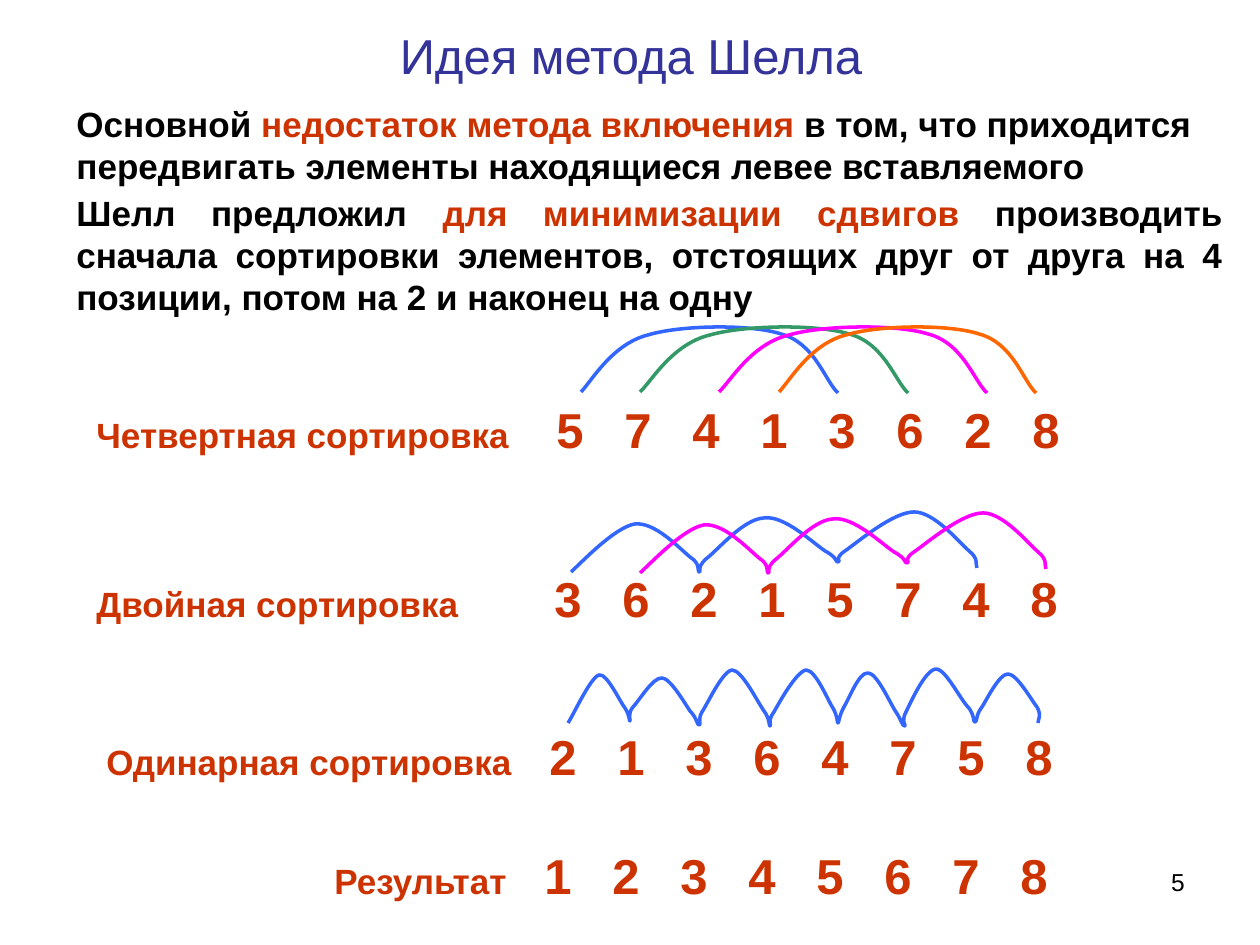
from dataclasses import dataclass
from lxml import etree
from pptx import Presentation
from pptx.dml.color import RGBColor
from pptx.enum.text import MSO_ANCHOR, PP_ALIGN
from pptx.oxml.ns import qn
from pptx.util import Emu, Pt

LEFT, CENTER = PP_ALIGN.LEFT, PP_ALIGN.CENTER
RIGHT, JUSTIFY = PP_ALIGN.RIGHT, PP_ALIGN.JUSTIFY
TOP, MIDDLE = MSO_ANCHOR.TOP, MSO_ANCHOR.MIDDLE
SCALE = 914400 / 126


@dataclass(frozen=True)
class Theme:
    font: str = "Arial"
    title: str = "333399"
    text: str = "000000"
    accent: str = "CC3300"
    blue: str = "3366FF"
    green: str = "339966"
    magenta: str = "FF00FF"
    orange: str = "FF6600"
    large: int = 28
    medium: int = 20
    small: int = 14
    line_width: int = 2
    leading: float = 1.2


def px(length):
    return Emu(round(length * SCALE))


def apply(target, values):
    for name, value in values.items():
        setattr(target, name, value)


class SlideBuilder:
    def __init__(self, slide, theme):
        self.slide = slide
        self.theme = theme

    def place(self, shape, left, top, width, height):
        apply(shape, {"left": px(left), "top": px(top), "width": px(width), "height": px(height)})

    def add_runs(self, paragraph, parts, alignment):
        paragraph.alignment = alignment
        for text, size, color, bold in parts:
            run = paragraph.add_run()
            run.text = text
            apply(run.font, {"name": self.theme.font, "size": Pt(size), "bold": bold})
            run.font.color.rgb = RGBColor.from_string(color)

    def title(self, text, *box):
        shape = self.slide.shapes.title
        self.place(shape, *box)
        apply(shape.text_frame, {"vertical_anchor": MIDDLE, "word_wrap": True})
        self.add_runs(shape.text_frame.paragraphs[0],
                      [(text, self.theme.large, self.theme.title, False)], CENTER)

    def text(self, parts, box, alignment=LEFT, tabs=()):
        shape = self.slide.shapes.add_textbox(*map(px, box))
        apply(shape.text_frame, {"vertical_anchor": TOP, "word_wrap": True})
        paragraph = shape.text_frame.paragraphs[0]
        if tabs:
            properties = paragraph._p.get_or_add_pPr()
            tab_list = etree.SubElement(properties, qn("a:tabLst"))
            for position in tabs:
                etree.SubElement(tab_list, qn("a:tab"), pos=str(px(position)), algn="l")
        largest = max(size for _, size, _, _ in parts)
        paragraph.line_spacing = Pt(largest * self.theme.leading)
        self.add_runs(paragraph, parts, alignment)

    def statement(self, parts, box, alignment=LEFT):
        theme = self.theme
        self.text([(text, theme.medium, color, True) for text, color in parts], box, alignment)

    def sorting_row(self, label, digits, box, first_digit):
        theme = self.theme
        start = first_digit - box[0] - 13
        tabs = [start + DIGIT_PITCH * index for index in range(len(digits))]
        parts = [(label + "\t", theme.medium, theme.accent, True),
                 ("\t".join(digits), theme.large, theme.accent, True)]
        self.text(parts, box, tabs=tabs)

    def curve(self, points, color):
        builder = self.slide.shapes.build_freeform(*points[0], scale=SCALE)
        builder.add_line_segments(points[1:], close=False)
        shape = builder.convert_to_shape()
        outline = shape.element.find(".//" + qn("a:path"))
        segments = outline.findall(qn("a:lnTo"))
        for index in range(0, len(segments), 3):
            bezier = etree.SubElement(outline, qn("a:cubicBezTo"))
            for segment in segments[index:index + 3]:
                bezier.append(segment[0])
                outline.remove(segment)
        shape.shadow.inherit = False
        shape.fill.background()
        shape.line.color.rgb = RGBColor.from_string(color)
        shape.line.width = Pt(self.theme.line_width)

    def arc(self, left, width, color):
        self.curve([(left + round(width * x), y) for x, y in ARC], color)


DIGIT_PITCH = 68
ARC = [(0, 392), (0.04, 382), (0.12, 344), (0.26, 335), (0.39, 325), (0.66, 324),
       (0.78, 334), (0.91, 343), (0.95, 381), (1, 393)]
DOUBLE_WAVE = [
    (571, 572), (581, 563), (615, 527), (635, 524), (655, 522), (679, 548), (690, 557),
    (701, 564), (697, 571), (699, 572), (702, 572), (696, 568), (706, 559),
    (717, 551), (743, 519), (764, 518), (784, 515), (813, 543), (825, 551),
    (838, 558), (835, 562), (838, 562), (842, 562), (833, 559), (845, 551),
    (858, 542), (893, 512), (914, 512), (934, 512), (958, 541), (969, 551),
    (979, 559), (975, 564), (977, 568)]
SINGLE_WAVE = [
    (568, 723), (573, 716), (590, 678), (599, 675), (607, 673), (620, 702), (625, 708),
    (630, 716), (629, 721), (630, 721), (631, 721), (627, 714), (633, 707),
    (639, 701), (653, 677), (662, 678), (670, 678), (684, 702), (690, 711),
    (697, 718), (697, 725), (699, 725), (702, 725), (697, 721), (702, 712),
    (708, 703), (722, 672), (732, 670), (742, 670), (757, 701), (764, 711),
    (770, 719), (769, 726), (770, 726), (772, 726), (767, 721), (774, 712),
    (779, 703), (796, 672), (806, 670), (816, 670), (828, 701), (833, 708),
    (838, 717), (837, 723), (838, 723), (839, 723), (839, 716), (844, 707),
    (849, 699), (859, 672), (868, 673), (877, 673), (890, 703), (896, 712),
    (902, 721), (902, 726), (905, 726), (906, 726), (901, 721), (906, 712),
    (911, 702), (925, 670), (936, 669), (946, 669), (961, 701), (969, 708),
    (975, 717), (973, 722), (975, 722), (978, 721), (975, 716), (982, 707),
    (986, 701), (999, 674), (1008, 674), (1017, 674), (1032, 701), (1037, 707),
    (1042, 716), (1038, 719), (1038, 723)]


def main():
    theme = Theme()
    presentation = Presentation()
    apply(presentation, {"slide_width": px(1260), "slide_height": px(945)})
    slide = presentation.slides.add_slide(presentation.slide_layouts[5])
    builder = SlideBuilder(slide, theme)

    builder.title("Идея метода Шелла", 64, 16, 1134, 77)
    builder.statement([
        ("Основной ", theme.text),
        ("недостаток метода включения", theme.accent),
        (" в том, что приходится передвигать элементы находящиеся левее вставляемого", theme.text),
    ], (64, 96, 1181, 97))
    builder.statement([
        ("Шелл предложил ", theme.text),
        ("для минимизации сдвигов", theme.accent),
        (" производить сначала сортировки элементов, отстоящих друг от друга на 4 позиции, "
         "потом на 2 и наконец на одну", theme.text),
    ], (64, 185, 1171, 139), JUSTIFY)

    for label, digits, box, first_digit in (
        ("Четвертная сортировка", "57413628", (84, 393, 1042, 72), 557),
        ("Двойная сортировка", "36215748", (84, 562, 1042, 72), 555),
        ("Одинарная сортировка", "21364758", (94, 720, 1042, 72), 550),
        ("Результат", "12345678", (322, 839, 764, 72), 545),
    ):
        builder.sorting_row(label, digits, box, first_digit)

    for left, width, color in (
        (581, 257, theme.blue),
        (640, 268, theme.green),
        (719, 268, theme.magenta),
        (779, 257, theme.orange),
    ):
        builder.arc(left, width, color)
    builder.curve(DOUBLE_WAVE, theme.blue)
    builder.curve([(x + 69, y + 1) for x, y in DOUBLE_WAVE], theme.magenta)
    builder.curve(SINGLE_WAVE, theme.blue)

    builder.text([("5", theme.small, theme.text, False)], (903, 861, 294, 66), RIGHT)
    presentation.save("out.pptx")


if __name__ == "__main__":
    main()
